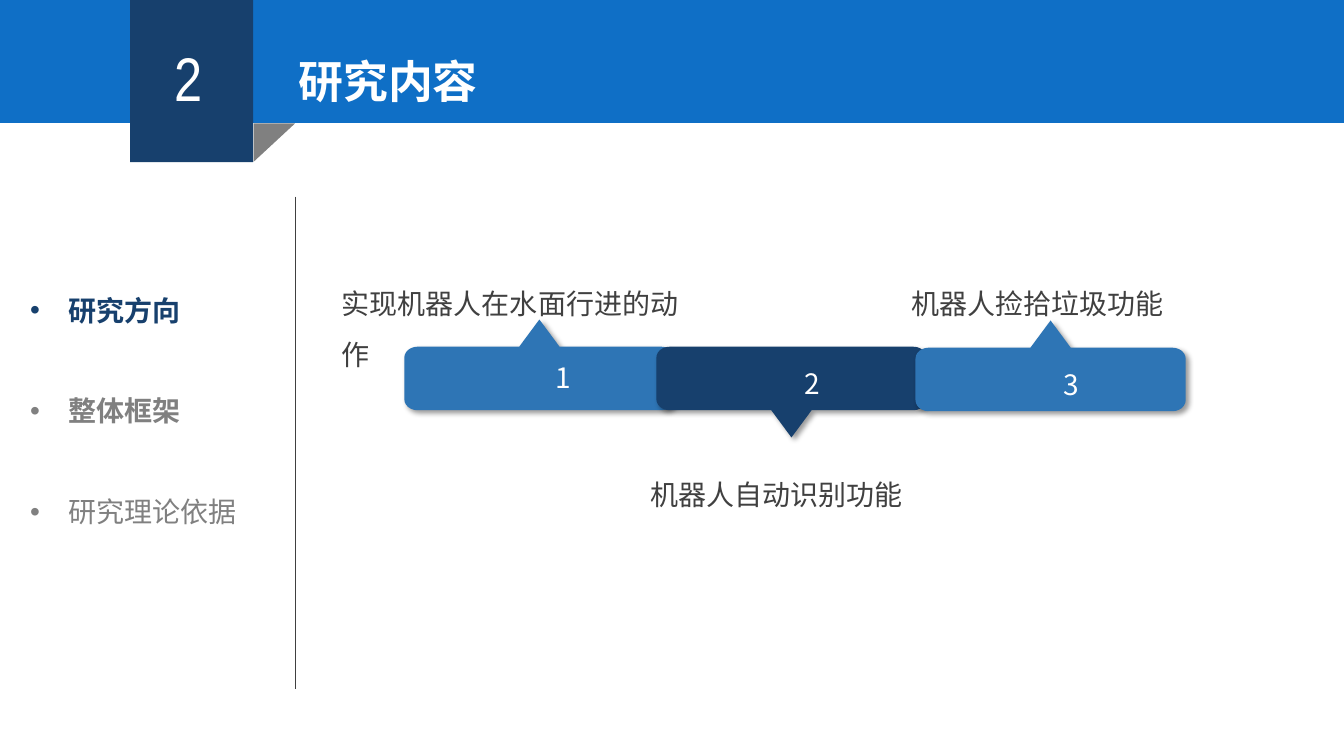
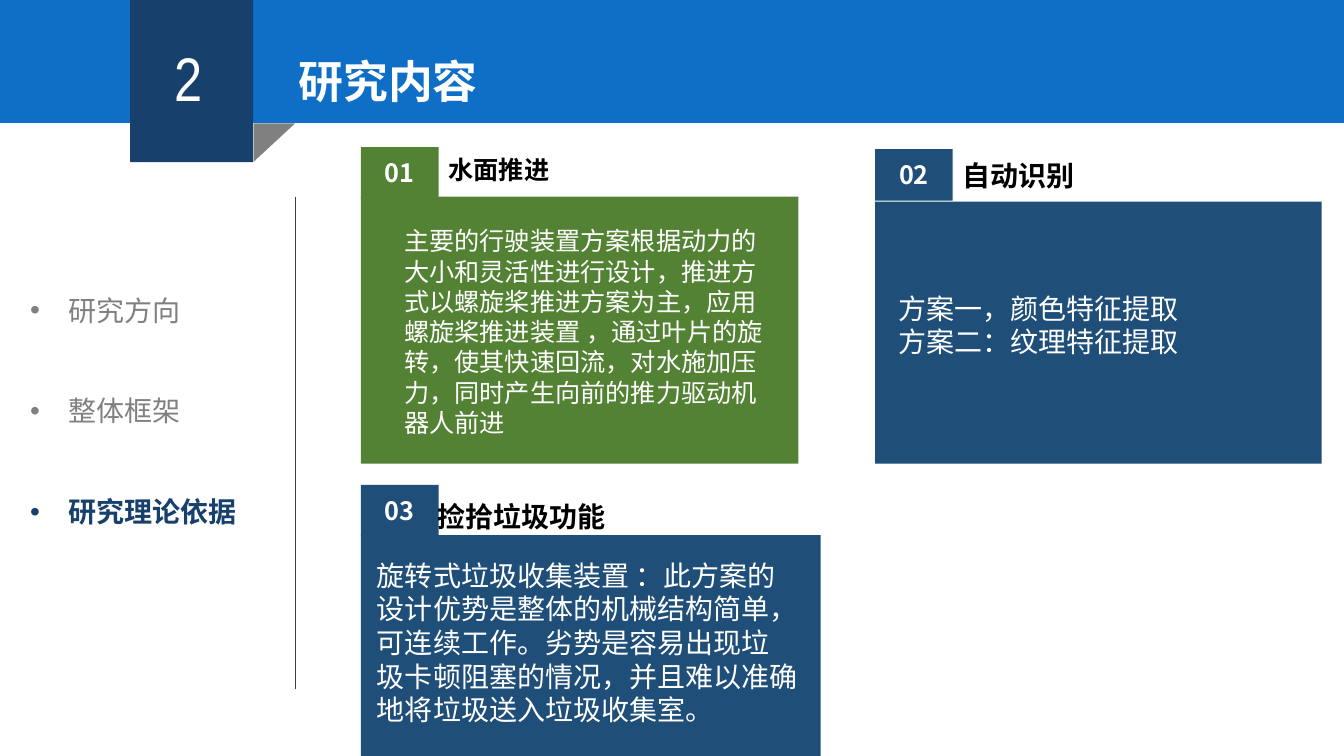
"""Build two slides on the research content of a water-surface cleaning robot."""
import math

import lxml.etree
import pptx
import pptx.dml.color
import pptx.enum.shapes
import pptx.enum.text
import pptx.oxml.ns
import pptx.util

Inches = pptx.util.Inches
Pt = pptx.util.Pt
RGB = pptx.dml.color.RGBColor.from_string
SHAPE = pptx.enum.shapes.MSO_SHAPE
ALIGN = pptx.enum.text.PP_ALIGN
ANCHOR = pptx.enum.text.MSO_ANCHOR
FIT = pptx.enum.text.MSO_AUTO_SIZE
qn = pptx.oxml.ns.qn

SANS = "Noto Sans CJK SC"
NAVY, BLUE, GREEN, STEEL = "17406D", "2E75B5", "538234", "1F4E78"
BAND, GREY, DARK, WHITE, BLACK = "0F6FC6", "808080", "404040", "FFFFFF", "000000"


def add_block(s, kind, box, fill):
    sp = s.shapes.add_shape(kind, *map(Inches, box))
    sp.shadow.inherit = False
    sp.fill.solid()
    sp.fill.fore_color.rgb = RGB(fill)
    sp.line.fill.background()
    return sp


def write(sp, text, size, color, bold=False, align=ALIGN.LEFT, spacing=None, font=SANS):
    tf = sp.text_frame
    tf.word_wrap = True
    tf.auto_size = FIT.NONE
    tf.text = text
    for p in tf.paragraphs:
        p.alignment = align
        p.space_before = Pt(0)
        if spacing:
            p.line_spacing = spacing
        p.font.name = font
        p.font.size = Pt(size)
        p.font.bold = bold
        p.font.color.rgb = RGB(color)


prs = pptx.Presentation()
prs.slide_width = Inches(13.33)
prs.slide_height = Inches(7.5)

layout = prs.slide_layouts[1]
for ph, box in zip(layout.placeholders, [(2.86, 0.48, 3.91, 0.64), (0.2, 2.19, 2.63, 3.13)]):
    ph.left, ph.top, ph.width, ph.height = map(Inches, box)

slides = [prs.slides.add_slide(layout) for _ in range(2)]

s = slides[0]
divider = s.shapes.add_connector(
    pptx.enum.shapes.MSO_CONNECTOR.STRAIGHT, Inches(2.93), Inches(1.95), Inches(2.93), Inches(6.84))
divider.line.color.rgb = RGB(DARK)
divider.line.width = Pt(0.5)
lxml.etree.SubElement(divider.element.spPr, qn("a:effectLst"))
band = add_block(s, SHAPE.RECTANGLE, (0, 0, 13.33, 1.22), BAND)
ribbon = add_block(s, SHAPE.RECTANGLE, (1.29, 0, 1.22, 1.61), NAVY)
fold = add_block(s, SHAPE.RIGHT_TRIANGLE, (2.53, 1.21, 0.38, 0.41), GREY)
fold.rotation = 90
for i, sp in enumerate([divider, band, ribbon, fold]):
    layout.shapes.element.insert(2 + i, sp.element)

topics = ["研究方向", "整体框架", "研究理论依据"]
topic_styles = [
    [(NAVY, True), (GREY, True), (GREY, False)],
    [(GREY, False), (GREY, False), (NAVY, True)],
]
for s, styles in zip(slides, topic_styles):
    write(s.shapes.title, "研究内容", 32, WHITE, True, font="Calibri")
    body = s.placeholders[1]
    write(body, "\n".join(topics), 20, GREY, spacing=3, font="Calibri")
    for p, (color, bold) in zip(body.text_frame.paragraphs, styles):
        p.font.color.rgb = RGB(color)
        p.font.bold = bold
    number = s.shapes.add_textbox(Inches(1.63), Inches(0.35), Inches(0.54), Inches(0.84))
    write(number, "2", 44, WHITE, font="Arial Narrow")

s = slides[0]
width, height, tip, radius_x, radius_y = 2.68, 0.9, 0.27, 0.13, 0.11
corners = [
    (width - radius_x, tip + radius_y, 270),
    (width - radius_x, height - radius_y, 0),
    (radius_x, height - radius_y, 90),
    (radius_x, tip + radius_y, 180),
]
outline = [(width / 2, 0), (width / 2 + 0.2, tip)]
for cx, cy, start in corners:
    for angle in range(start, start + 91, 15):
        a = math.radians(angle)
        outline.append((cx + radius_x * math.cos(a), cy + radius_y * math.sin(a)))
outline.append((width / 2 - 0.2, tip))

steps = [
    ("1", 4.01, 3.17, BLUE, False, (4.63, 3.53)),
    ("2", 6.51, 3.44, NAVY, True, (7.1, 3.59)),
    ("3", 9.08, 3.18, BLUE, False, (9.67, 3.6)),
]
captions = [
    ("实现机器人在水面行进的动作", (3.29, 2.63, 3.81, 0.54)),
    ("机器人自动识别功能", (6.35, 4.52, 3, 0.6)),
    ("机器人捡拾垃圾功能", (8.94, 2.63, 2.96, 0.47)),
]
for label, left, top, color, points_down, (x, y) in steps:
    points = [(Inches(left + px), Inches(top + (height - py if points_down else py)))
              for px, py in outline]
    builder = s.shapes.build_freeform(*points[0])
    builder.add_line_segments(points[1:])
    sp = builder.convert_to_shape()
    sp.fill.solid()
    sp.fill.fore_color.rgb = RGB(color)
    sp.line.fill.background()
    sp.shadow.inherit = False
    shadow = lxml.etree.SubElement(
        sp.element.spPr.find(qn("a:effectLst")), qn("a:outerShdw"),
        blurRad=str(Pt(4)), dist=str(Pt(3)), dir="2700000", algn="tl", rotWithShape="0")
    shade = lxml.etree.SubElement(shadow, qn("a:srgbClr"), val=BLACK)
    lxml.etree.SubElement(shade, qn("a:alpha"), val="40000")
    tb = s.shapes.add_textbox(Inches(x), Inches(y), Inches(1.91), Inches(0.44))
    write(tb, label, 20, WHITE, align=ALIGN.CENTER)
for text, box in captions:
    write(s.shapes.add_textbox(*map(Inches, box)), text, 20, DARK, spacing=1.5)

s = slides[1]
panels = [
    ("01", GREEN, (3.58, 1.95, 4.34, 2.65), (3.58, 1.46),
     "水面推进", 18, (4.35, 1.48, 2.25, 0.71),
     "主要的行驶装置方案根据动力的大小和灵活性进行设计，推进方式以螺旋桨推进方案为主，"
     "应用螺旋桨推进装置 ，通过叶片的旋转，使其快速回流，对水施加压力，同时产生向前的推力驱动机器人前进",
     18, (3.91, 2.19, 3.83, 2.41)),
    ("02", STEEL, (8.68, 2, 4.43, 2.6), (8.68, 1.48),
     "自动识别", 20, (9.45, 1.52, 1.91, 0.44),
     "方案一，颜色特征提取\n方案二：纹理特征提取", 20, (8.81, 2.84, 3.41, 1.31)),
    ("03", STEEL, (3.58, 5.31, 4.56, 2.19), (3.58, 4.81),
     "捡拾垃圾功能", 20, (4.24, 4.91, 1.99, 0.4),
     "旋转式垃圾收集装置 ：此方案的设计优势是整体的机械结构简单，可连续工作。"
     "劣势是容易出现垃 圾卡顿阻塞的情况，并且难以准确地将垃圾送入垃圾收集室。",
     20, (3.64, 5.49, 4.39, 2)),
]
for label, color, panel, tab_at, heading, heading_size, heading_box, text, size, box in panels:
    add_block(s, SHAPE.RECTANGLE, panel, color)
    tab = add_block(s, SHAPE.RECTANGLE, (*tab_at, 0.77, 0.51), color)
    tab.text_frame.vertical_anchor = ANCHOR.MIDDLE
    write(tab, label, 18, WHITE, True, ALIGN.CENTER)
    write(s.shapes.add_textbox(*map(Inches, heading_box)), heading, heading_size, BLACK, True)
    write(s.shapes.add_textbox(*map(Inches, box)), text, size, WHITE)

prs.save("out.pptx")
